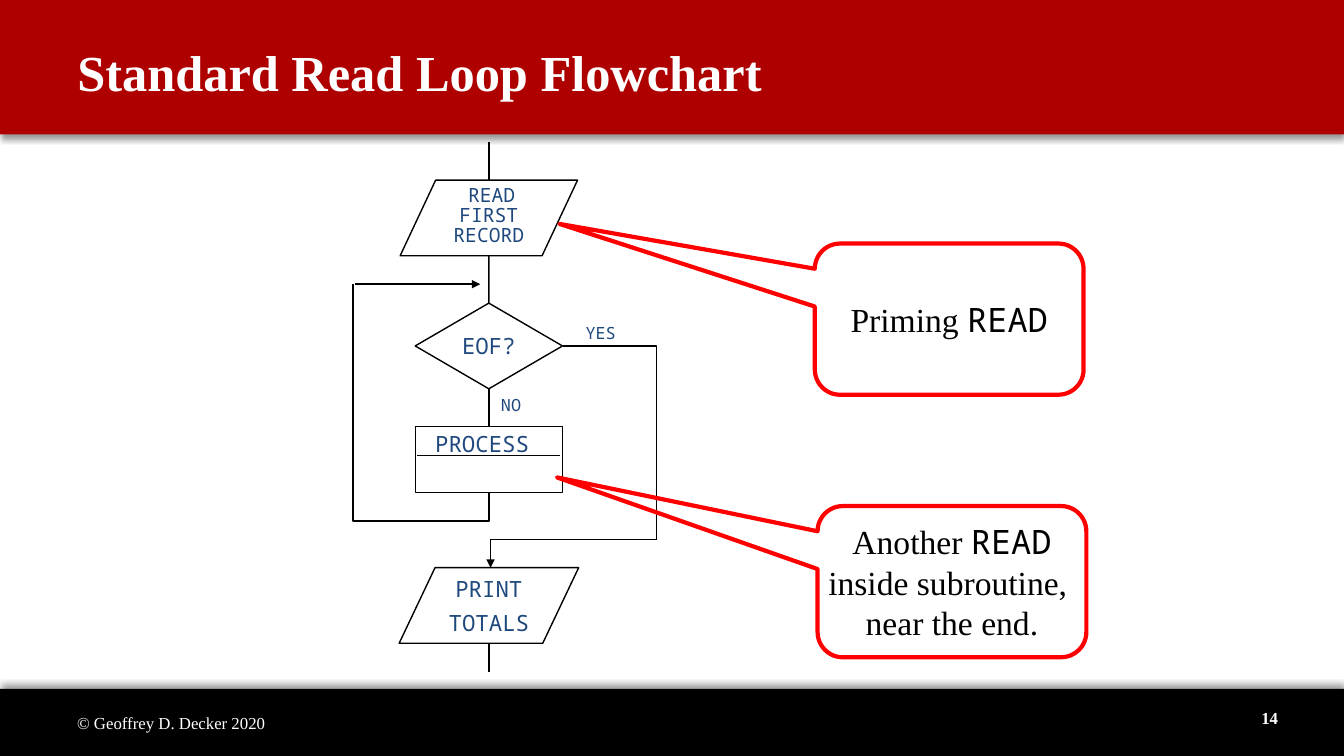
from lxml import etree
from pptx import Presentation
from pptx.dml.color import RGBColor
from pptx.enum.shapes import MSO_CONNECTOR, MSO_SHAPE
from pptx.enum.text import MSO_ANCHOR, PP_ALIGN
from pptx.oxml.ns import qn
from pptx.util import Pt

COLORS = {"red": "AF0000", "black": "000000", "white": "FFFFFF",
          "navy": "1F497D", "callout": "FF0000"}
SERIF, MONO, SANS = "Times New Roman", "Noto Sans Mono", "Arial"
LEFT, CENTER, RIGHT = PP_ALIGN.LEFT, PP_ALIGN.CENTER, PP_ALIGN.RIGHT
MIDDLE, TOP_ANCHOR = MSO_ANCHOR.MIDDLE, MSO_ANCHOR.TOP
STRAIGHT, ELBOW = MSO_CONNECTOR.STRAIGHT, MSO_CONNECTOR.ELBOW
TOP, BOTTOM, RIGHT_SIDE = 0, 2, 3  # connection sites
WIDTH, HEIGHT = 960, 540


def rgb(name):
    return RGBColor.from_string(COLORS[name])


def write(shape, lines, size, color, align=LEFT, anchor=MIDDLE, wrap=False,
          bold=False, before=None, spacing=None):
    """Each line is a list of (text, font) runs; before is a percentage."""
    frame = shape.text_frame
    frame.word_wrap = wrap
    frame.vertical_anchor = anchor
    for i, runs in enumerate(lines):
        para = frame.add_paragraph() if i else frame.paragraphs[0]
        para.alignment = align
        if spacing:
            para.line_spacing = spacing
        if before:
            para.space_before = Pt(0)
            gap = para._p.pPr.find(qn("a:spcBef"))
            gap.remove(gap[0])
            etree.SubElement(gap, qn("a:spcPct"), val=str(before * 1000))
        for text, font in runs:
            run = para.add_run()
            run.text = text
            run.font.name = font
            run.font.size = Pt(size)
            run.font.bold = bold
            run.font.color.rgb = rgb(color)


def add_outline(shapes, kind, box, color="black", width=1):
    shape = shapes.add_shape(kind, *map(Pt, box))
    shape.shadow.inherit = False
    shape.fill.background()
    shape.line.color.rgb = rgb(color)
    shape.line.width = Pt(width)
    return shape


def add_line(shapes, x1, y1, x2, y2, kind=STRAIGHT, arrow=False):
    line = shapes.add_connector(kind, Pt(x1), Pt(y1), Pt(x2), Pt(y2))
    line.line.color.rgb = rgb("black")
    line.line.width = Pt(1)
    if arrow:
        etree.SubElement(line.line._get_or_add_ln(), qn("a:tailEnd"), type="triangle")
    etree.SubElement(line._element.spPr, qn("a:effectLst"))
    return line


def add_band(slide, box, color, shadow_angle):
    """Full-width band behind everything else, with a soft shadow."""
    band = slide.shapes.add_shape(MSO_SHAPE.RECTANGLE, *map(Pt, box))
    band.fill.solid()
    band.fill.fore_color.rgb = rgb(color)
    band.line.fill.background()
    band.shadow.inherit = False
    effects = band._element.spPr.find(qn("a:effectLst"))
    shadow = etree.SubElement(effects, qn("a:outerShdw"), blurRad=str(Pt(4)),
                              dist=str(Pt(3)), dir=str(shadow_angle * 60000),
                              algn="ctr", rotWithShape="0")
    tint = etree.SubElement(shadow, qn("a:srgbClr"), val=COLORS["black"])
    etree.SubElement(tint, qn("a:alpha"), val="40000")
    slide.shapes._spTree.insert(2, band._element)


def build_header(slide, box):
    x, y, w, h = box
    add_band(slide, box, "red", 90)
    title = slide.shapes.title
    title.left, title.top, title.width, title.height = map(
        Pt, (x + 48, y + 12, w - 168, h - 18))
    write(title, [[("Standard Read Loop Flowchart", SERIF)]], 36, "white",
          wrap=True, bold=True)


def build_footer(slide, box):
    x, y, w, h = box
    add_band(slide, box, "black", 270)
    credit = slide.shapes.add_textbox(Pt(x + 48), Pt(y + 10), Pt(304), Pt(28.8))
    write(credit, [[("© Geoffrey D. Decker 2020", SERIF)]], 12, "white", wrap=True)
    number = slide.shapes.add_textbox(Pt(x + w - 184), Pt(y + 6), Pt(144), Pt(28.8))
    write(number, [[("14", SERIF)]], 12, "white", RIGHT, wrap=True, bold=True)


def build_flowchart(slide, box):
    x, y, w, h = box
    shapes = slide.shapes.add_group_shape().shapes
    axis = x + 97.2

    def step(kind, top, width, height):
        return add_outline(shapes, kind, (axis - width / 2, y + top, width, height))

    def down(top, bottom):
        return add_line(shapes, axis, y + top, axis, y + bottom)

    def label(left, top, width, height, text, size):
        tag = shapes.add_textbox(Pt(x + left), Pt(y + top), Pt(width), Pt(height))
        write(tag, [[(text, MONO)]], size, "navy", anchor=TOP_ANCHOR, before=30)

    # Steps
    process = step(MSO_SHAPE.FLOWCHART_PROCESS, 203, 105.2, 47.5)
    totals = step(MSO_SHAPE.FLOWCHART_DATA, 304, 128.2, 54)
    write(totals, [[("PRINT", MONO)], [("TOTALS", MONO)]], 16, "navy", CENTER, before=30)
    eof = step(MSO_SHAPE.FLOWCHART_DECISION, 115, 105.2, 61.2)
    write(eof, [[("EOF?", MONO)]], 16, "navy", CENTER, before=30)
    first_read = step(MSO_SHAPE.FLOWCHART_DATA, 27.2, 126.7, 54)
    write(first_read, [[(" ", SANS), ("READ", MONO)], [("FIRST", MONO)],
                       [("RECORD", MONO)]], 14, "navy", CENTER, before=30, spacing=0.6)

    # Main path
    down(0, 27.2)
    down(81.2, 115).end_connect(eof, TOP)
    no_path = down(176.2, 203)
    no_path.begin_connect(eof, BOTTOM)
    no_path.end_connect(process, TOP)
    down(358, h)

    # Loop back from the process to the test: an elbow turned on its side
    loop_top, loop_bottom = y + 101.5, y + 250.5
    rise, run = loop_bottom - loop_top, axis - x
    left = (x + axis - rise) / 2
    top = (loop_top + loop_bottom - run) / 2
    loop = add_line(shapes, left, top + run, left + rise, top, ELBOW)
    loop.begin_connect(process, BOTTOM)
    loop.left, loop.top, loop.width, loop.height = map(Pt, (left, top, rise, run))
    loop._element.spPr.xfrm.set("rot", str(270 * 60000))
    bends = loop._element.spPr.find(qn("a:prstGeom")).find(qn("a:avLst"))
    etree.SubElement(bends, qn("a:gd"), name="adj1", fmla="val -13600")
    add_line(shapes, x + 1.5, loop_top, x + 91, loop_top, arrow=True)

    # Exit path
    exit_y = y + 283.7
    leave = add_line(shapes, axis + 52.6, y + 145.6, x + w, exit_y, ELBOW)
    leave.begin_connect(eof, RIGHT_SIDE)
    leave._element.spPr.find(qn("a:prstGeom")).set("prst", "bentConnector2")
    add_line(shapes, axis + 1.2, exit_y, axis + 1.2, y + 304, arrow=True)
    add_line(shapes, x + w, exit_y, axis + 1.2, exit_y)

    # Labels
    label(159.2, 125.3, 36.7, 21.6, "YES", 12)
    label(98.8, 177.2, 28.8, 21.6, "NO", 12)
    add_line(shapes, axis - 51, y + 224, axis + 50.5, y + 224)
    label(51.8, 202.3, 82.8, 26.6, "PROCESS", 16)


def build_callout(slide, box, pointer, lines):
    callout = add_outline(slide.shapes, MSO_SHAPE.ROUNDED_RECTANGULAR_CALLOUT,
                          box, "callout", 3)
    callout.adjustments[0], callout.adjustments[1] = pointer
    write(callout, lines, 24, "black", CENTER)


def main():
    deck = Presentation()
    deck.slide_width, deck.slide_height = Pt(WIDTH), Pt(HEIGHT)
    slide = deck.slides.add_slide(deck.slide_layouts[5])
    build_header(slide, (0, 0, WIDTH, 96))
    build_footer(slide, (0, 492, WIDTH, 48))
    build_flowchart(slide, (252, 101.5, 217, 378.5))
    build_callout(slide, (584, 361.5, 192, 108), (-1.47, -0.69),
                  [[("Another ", SERIF), ("READ", MONO)],
                   [("inside subroutine, ", SERIF)], [("near the end.", SERIF)]])
    build_callout(slide, (582, 174, 192, 108), (-1.45, -0.63),
                  [[("Priming ", SERIF), ("READ", MONO)]])
    deck.save("out.pptx")


if __name__ == "__main__":
    main()
